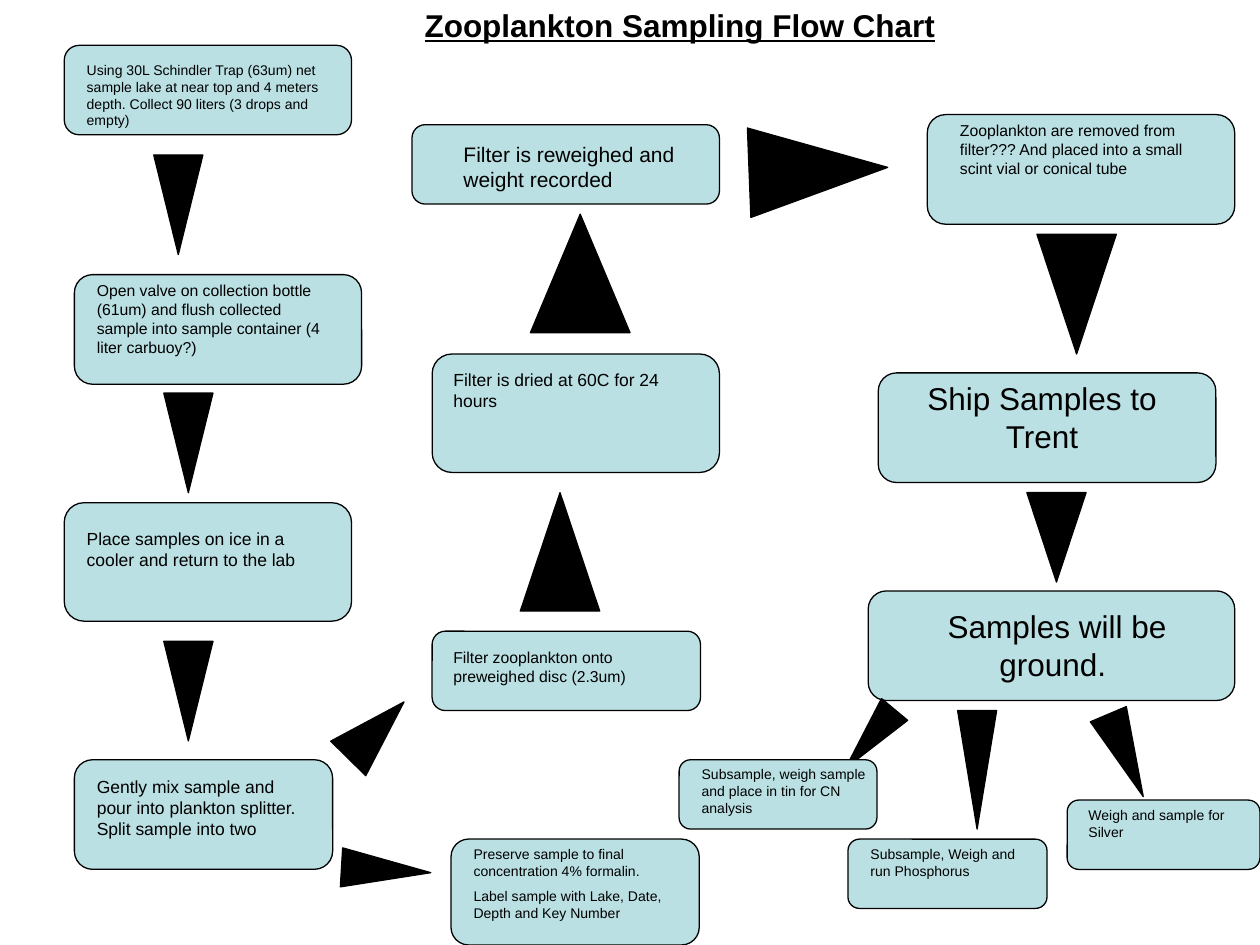
from pptx import Presentation
from pptx.dml.color import RGBColor
from pptx.enum.shapes import MSO_SHAPE
from pptx.enum.text import MSO_ANCHOR, MSO_AUTO_SIZE, PP_ALIGN
from pptx.util import Inches, Pt

BLACK = "000000"
PALE_TEAL = "BBE0E3"
DOWN = MSO_SHAPE.FLOWCHART_MERGE
UP = MSO_SHAPE.FLOWCHART_EXTRACT

# Each step: box place, text place, font size, paragraphs
STEPS = [
    ((0.51, 0.36, 2.28, 0.71), (0.59, 0.44, 2.13, 0.64), 8,
     ["Using 30L Schindler Trap (63um) net sample lake at near top and "
      "4 meters depth. Collect 90 liters (3 drops and empty)"]),
    ((0.59, 2.18, 2.28, 0.87), (0.67, 2.18, 1.97, 0.93), 9,
     ["Open valve on collection bottle (61um) and flush collected sample "
      "into sample container (4 liter carbuoy?)"]),
    ((0.51, 3.99, 2.28, 0.94), (0.59, 4.14, 2.13, 0.44), 10,
     ["Place samples on ice in a cooler and return to the lab"]),
    ((0.59, 6.03, 2.05, 0.87), (0.67, 6.11, 1.81, 0.6), 10,
     ["Gently mix sample and pour into plankton splitter. "
      "Split sample into two"]),
    ((3.58, 6.66, 1.97, 0.84), (3.66, 6.66, 1.81, 0.7), 8,
     ["Preserve sample to final concentration 4% formalin.",
      "Label sample with Lake, Date, Depth and Key Number"]),
    ((3.43, 5.01, 2.13, 0.63), (3.5, 5.09, 1.97, 0.4), 9,
     ["Filter zooplankton onto preweighed disc (2.3um)"]),
    ((3.43, 2.81, 2.28, 0.94), (3.5, 2.88, 2.05, 0.44), 10,
     ["Filter is dried at 60C for 24 hours"]),
    ((3.27, 0.99, 2.44, 0.63), (3.58, 1.07, 1.89, 1.11), 12,
     ["Filter is reweighed and weight recorded"]),
    ((7.36, 0.91, 2.44, 0.87), (7.52, 0.91, 2.12, 0.55), 9,
     ["Zooplankton are removed from filter??? And placed into a small "
      "scint vial or conical tube"]),
    ((6.97, 2.96, 2.68, 0.87), (7.05, 2.96, 2.44, 0.7), 18,
     ["Ship Samples to Trent"]),
    ((6.89, 4.69, 2.91, 0.87), (7.05, 4.77, 2.68, 0.7), 18,
     ["Samples will be ground. "]),
]

# Each flow arrow: triangle kind, place, rotation
ARROWS = [
    (DOWN, (1.22, 1.23, 0.39, 0.79), 0),
    (DOWN, (1.3, 3.12, 0.39, 0.79), 0),
    (DOWN, (1.3, 5.09, 0.39, 0.79), 0),
    (DOWN, (2.79, 5.48, 0.39, 0.63), 224.6),
    (DOWN, (2.91, 6.55, 0.31, 0.71), 273.4),
    (UP, (4.13, 3.91, 0.63, 0.94), 0),
    (UP, (4.21, 1.7, 0.79, 0.94), 0),
    (UP, (6.14, 0.8, 0.71, 1.1), 87.8),
    (DOWN, (8.23, 1.86, 0.63, 0.95), 0),
    (DOWN, (8.15, 3.91, 0.47, 0.71), 0),
    (DOWN, (6.77, 5.56, 0.27, 0.61), 39.8),
    (DOWN, (7.6, 5.64, 0.31, 0.94), 0),
    (DOWN, (8.78, 5.64, 0.31, 0.71), 337),
]

# Final analyses, laid over the arrows that lead to them
ANALYSES = [
    ((5.39, 6.03, 1.57, 0.55), (5.47, 6.03, 1.65, 0.5), 8,
     ["Subsample, weigh sample and place in tin for CN analysis"]),
    ((6.73, 6.66, 1.58, 0.55), (6.81, 6.66, 1.42, 0.37), 8,
     ["Subsample, Weigh and run Phosphorus"]),
    ((8.47, 6.35, 1.53, 0.55), (8.54, 6.35, 1.46, 0.37), 8,
     ["Weigh and sample for Silver"]),
]


def color(value):
    """Turn a hex string into a colour."""
    return RGBColor.from_string(value)


def inches(place):
    """Turn left, top, width and height into lengths."""
    return [Inches(length) for length in place]


def add_block(page, kind, place, fill, rotation=0):
    """Add a filled shape with a thin black outline."""
    block = page.shapes.add_shape(kind, *inches(place))
    block.shadow.inherit = False
    block.rotation = rotation
    block.fill.solid()
    block.fill.fore_color.rgb = color(fill)
    block.line.color.rgb = color(BLACK)
    block.line.width = Pt(0.74)
    return block


def write_text(box, paragraphs, size, align=PP_ALIGN.LEFT, bold=False,
               underline=False):
    """Write formatted paragraphs at the top of a text holder."""
    frame = box.text_frame
    frame.word_wrap = True
    frame.auto_size = MSO_AUTO_SIZE.SHAPE_TO_FIT_TEXT
    frame.vertical_anchor = MSO_ANCHOR.TOP
    for index, text in enumerate(paragraphs):
        para = frame.add_paragraph() if index else frame.paragraphs[0]
        para.alignment = align
        para.space_before = Pt(round(size * 0.62, 1))
        span = para.add_run()
        span.text = text
        span.font.name = "Arial"
        span.font.size = Pt(size)
        span.font.bold = bold
        span.font.underline = underline
        span.font.color.rgb = color(BLACK)


def add_step(page, place, text_place, size, paragraphs):
    """Add a rounded process box with its text; large text is centred."""
    add_block(page, MSO_SHAPE.FLOWCHART_ALTERNATE_PROCESS, place, PALE_TEAL)
    box = page.shapes.add_textbox(*inches(text_place))
    align = PP_ALIGN.CENTER if size == 18 else PP_ALIGN.LEFT
    write_text(box, paragraphs, size, align=align)


def add_title(page, text):
    """Place and format the title."""
    title = page.shapes.title
    title.left, title.top, title.width, title.height = inches(
        (3.27, 0, 4.49, 0.4))
    write_text(title, [text], 18, bold=True, underline=True)


def main():
    """Build the flow chart slide."""
    deck = Presentation()
    deck.slide_width, deck.slide_height = Inches(10), Inches(7.5)
    page = deck.slides.add_slide(deck.slide_layouts[5])
    add_title(page, "Zooplankton Sampling Flow Chart")
    for step in STEPS:
        add_step(page, *step)
    for kind, place, rotation in ARROWS:
        add_block(page, kind, place, BLACK, rotation)
    for analysis in ANALYSES:
        add_step(page, *analysis)
    deck.save("out.pptx")


main()
